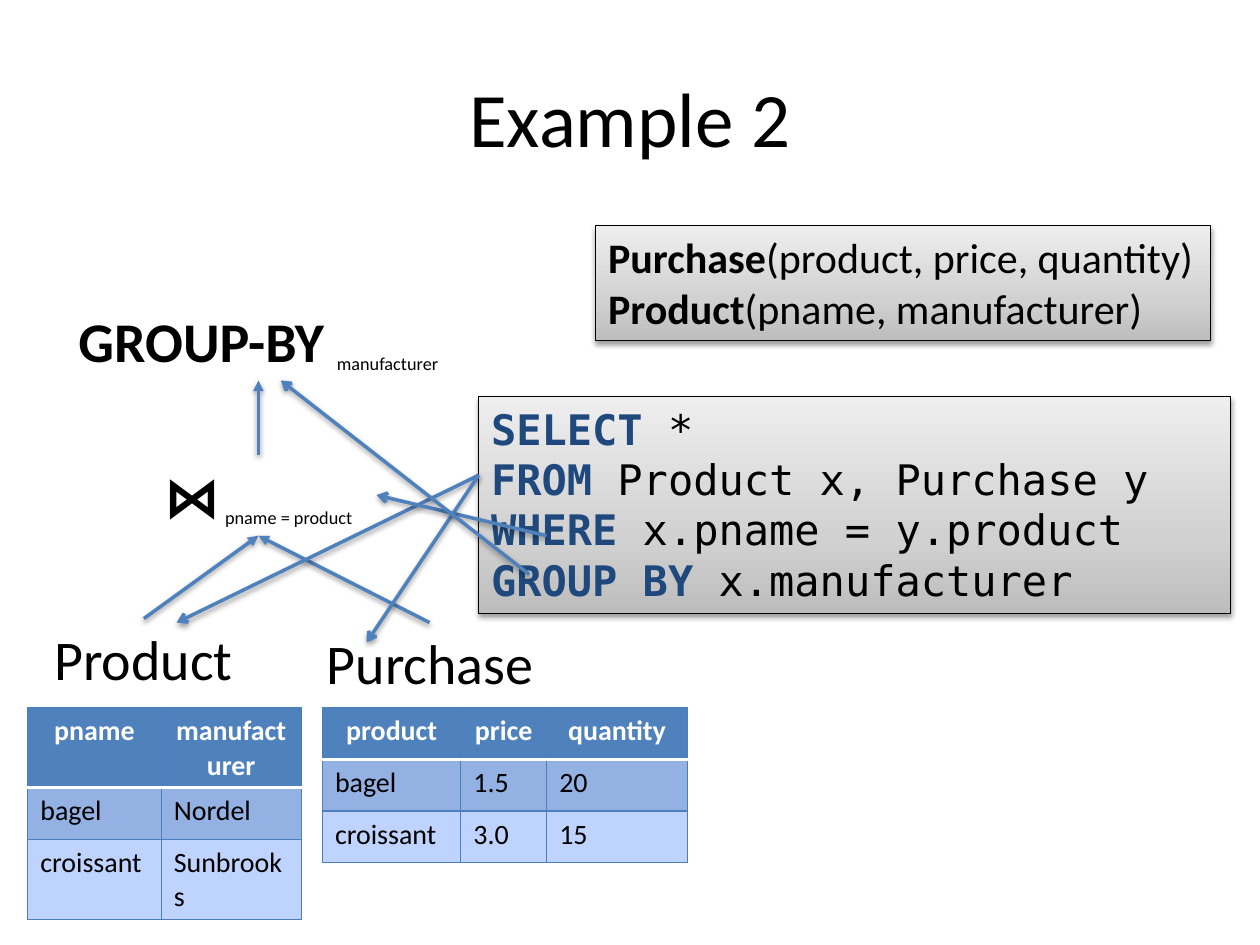
from dataclasses import dataclass

import pptx
import pptx.dml.color
import pptx.enum.shapes
import pptx.enum.text
import pptx.oxml
import pptx.oxml.ns
import pptx.util
from pptx.util import Cm, Pt

COLORS = {
    "black": "000000", "white": "FFFFFF", "keyword": "1F497D", "accent": "4F81BD",
    "grid": "4B7EBC", "band": "93B1E3", "plain": "BFD3FF",
    "dark": "BDBDBD", "mid": "D1D1D1", "light": "EEEEEE",
}
SANS, MONO = "Calibri", "DejaVu Sans Mono"
ALIGN = pptx.enum.text.PP_ALIGN
NS = pptx.oxml.ns.nsdecls("a")


@dataclass
class Run:
    text: str
    size: float = 24
    bold: bool = False
    color: str = "black"
    font: str = SANS
    sub: bool = False


@dataclass
class Box:
    left: float
    top: float
    width: float
    height: float
    lines: list[list[Run]]
    panel: bool = False
    wrap: bool = False


@dataclass
class Arrow:
    start: tuple[float, float]
    end: tuple[float, float]
    head: str


@dataclass
class Relation:
    left: float
    widths: list[float]
    rows: list[list[str]]


def rgb(name: str) -> pptx.dml.color.RGBColor:
    return pptx.dml.color.RGBColor.from_string(COLORS[name])


def add_run(p, run: Run) -> None:
    r = p.add_run()
    r.text = run.text
    r.font.name, r.font.size, r.font.bold = run.font, Pt(run.size), run.bold
    r.font.color.rgb = rgb(run.color)
    if run.sub:
        r.font._element.set("baseline", "-25000")


def add_shadow(sp) -> None:
    sp._element.spPr.append(pptx.oxml.parse_xml(
        f'<a:effectLst {NS}><a:outerShdw blurRad="40000" dist="20000" dir="5400000" '
        f'rotWithShape="0"><a:srgbClr val="{COLORS["black"]}"><a:alpha val="38000"/>'
        f'</a:srgbClr></a:outerShdw></a:effectLst>'))


def style_panel(sp) -> None:
    sp.line.color.rgb, sp.line.width = rgb("black"), Pt(0.75)
    stops = "".join(f'<a:gs pos="{pos}"><a:srgbClr val="{COLORS[name]}"/></a:gs>'
                    for pos, name in ((0, "dark"), (35000, "mid"), (100000, "light")))
    sp._element.spPr.find(pptx.oxml.ns.qn("a:ln")).addprevious(pptx.oxml.parse_xml(
        f'<a:gradFill {NS} rotWithShape="1"><a:gsLst>{stops}</a:gsLst>'
        f'<a:lin ang="16200000" scaled="0"/></a:gradFill>'))
    add_shadow(sp)


def add_box(slide, box: Box) -> None:
    area = [Cm(v) for v in (box.left, box.top, box.width, box.height)]
    if box.panel:
        sp = slide.shapes.add_shape(pptx.enum.shapes.MSO_SHAPE.RECTANGLE, *area)
        style_panel(sp)
    else:
        sp = slide.shapes.add_textbox(*area)
    tf = sp.text_frame
    tf.word_wrap = box.wrap
    tf.auto_size = pptx.enum.text.MSO_AUTO_SIZE.SHAPE_TO_FIT_TEXT
    tf.vertical_anchor = pptx.enum.text.MSO_ANCHOR.TOP
    for i, line in enumerate(box.lines):
        p = tf.add_paragraph() if i else tf.paragraphs[0]
        p.alignment = ALIGN.LEFT if box.panel else ALIGN.CENTER
        for run in line:
            add_run(p, run)


def add_arrow(slide, arrow: Arrow) -> None:
    points = [Cm(v) for v in arrow.start + arrow.end]
    line = slide.shapes.add_connector(pptx.enum.shapes.MSO_CONNECTOR.STRAIGHT, *points)
    line.line.color.rgb, line.line.width = rgb("accent"), Pt(2)
    line.line._get_or_add_ln().append(
        pptx.oxml.parse_xml(f'<a:tailEnd {NS} type="{arrow.head}"/>'))
    add_shadow(line)


def set_borders(cell, row: int) -> None:
    thin, thick = ("grid", 0.75), ("white", 2)
    edges = {"L": thin, "R": thin, "T": thick if row == 1 else thin,
             "B": thick if row == 0 else thin}
    tc_pr = cell._tc.get_or_add_tcPr()
    for i, (side, (color, width)) in enumerate(edges.items()):
        tc_pr.insert(i, pptx.oxml.parse_xml(
            f'<a:ln{side} {NS} w="{Pt(width)}"><a:solidFill>'
            f'<a:srgbClr val="{COLORS[color]}"/></a:solidFill></a:ln{side}>'))


def add_relation(slide, rel: Relation) -> None:
    row_height = 1.04
    table = slide.shapes.add_table(
        len(rel.rows), len(rel.widths), Cm(rel.left), Cm(14.27),
        Cm(sum(rel.widths)), Cm(row_height * len(rel.rows))).table
    for col, width in zip(table.columns, rel.widths):
        col.width = Cm(width)
    for i, values in enumerate(rel.rows):
        table.rows[i].height = Cm(row_height)
        for j, value in enumerate(values):
            cell = table.cell(i, j)
            cell.fill.solid()
            cell.fill.fore_color.rgb = rgb(("accent", "band", "plain")[i])
            p = cell.text_frame.paragraphs[0]
            p.alignment = ALIGN.LEFT if i else ALIGN.CENTER
            add_run(p, Run(value, 16, i == 0, "black" if i else "white"))
            set_borders(cell, i)


def sql(keyword: str, rest: str) -> list[Run]:
    return [Run(keyword, bold=True, color="keyword", font=MONO), Run(rest, font=MONO)]


def schema(name: str, columns: str) -> list[Run]:
    return [Run(name, bold=True), Run(columns)]


def operator(name: str, subscript: str) -> list[Run]:
    return [Run(name, 32, True), Run(subscript, 18, sub=True)]


BOXES = [
    # Query and schema panels
    Box(9.65, 8, 15.16, 4.37, [
        sql("SELECT", " * "), sql("FROM", " Product x, Purchase y"),
        sql("WHERE ", "x.pname = y.product"), sql("GROUP BY ", "x.manufacturer"),
    ], panel=True, wrap=True),
    Box(12.01, 4.55, 12.4, 2.31, [
        schema("Purchase", "(product, price, quantity)"),
        schema("Product", "(pname, manufacturer)"),
    ], panel=True),
    # Operator tree
    Box(1.12, 6.05, 8.18, 1.63, [operator("GROUP-BY ", "manufacturer")]),
    Box(2.84, 9.17, 4.75, 1.63, [operator("\u22c8", " pname = product")], wrap=True),
    Box(0.81, 12.47, 4.17, 1.63, [[Run("Product", 32)]]),
    Box(6.3, 12.55, 4.75, 1.63, [[Run("Purchase", 32)]]),
]

JOIN, FROM_CLAUSE = (5.21, 10.8), (9.65, 9.58)
ARROWS = [
    # Data flow up the tree
    Arrow((2.9, 12.47), JOIN, "triangle"),
    Arrow((5.21, 9.17), (5.21, 7.67), "triangle"),
    Arrow((8.66, 12.55), JOIN, "triangle"),
    # Query clauses to tree nodes
    Arrow(FROM_CLAUSE, (3.56, 12.55), "arrow"),
    Arrow((11.02, 10.8), (7.59, 9.98), "arrow"),
    Arrow(FROM_CLAUSE, (7.39, 12.95), "arrow"),
    Arrow((10.67, 11.58), (5.66, 7.67), "arrow"),
]

RELATIONS = [
    Relation(0.56, [2.69, 2.82], [
        ["pname", "manufacturer"], ["bagel", "Nordel"], ["croissant", "Sunbrooks"]]),
    Relation(6.5, [2.79, 1.73, 2.84], [
        ["product", "price", "quantity"], ["bagel", "1.5", "20"], ["croissant", "3.0", "15"]]),
]

prs = pptx.Presentation()
prs.slide_width, prs.slide_height = Cm(25.4), Cm(19.05)
slide = prs.slides.add_slide(prs.slide_layouts[5])

# Title
title = slide.shapes.title
title.left, title.top, title.width, title.height = Cm(1.27), Cm(0.76), Cm(22.86), Cm(3.18)
title.text_frame.vertical_anchor = pptx.enum.text.MSO_ANCHOR.MIDDLE
title.text_frame.paragraphs[0].alignment = ALIGN.CENTER
add_run(title.text_frame.paragraphs[0], Run("Example 2", 44))

# Content
for draw, items in ((add_box, BOXES), (add_arrow, ARROWS), (add_relation, RELATIONS)):
    for item in items:
        draw(slide, item)

prs.save("out.pptx")
